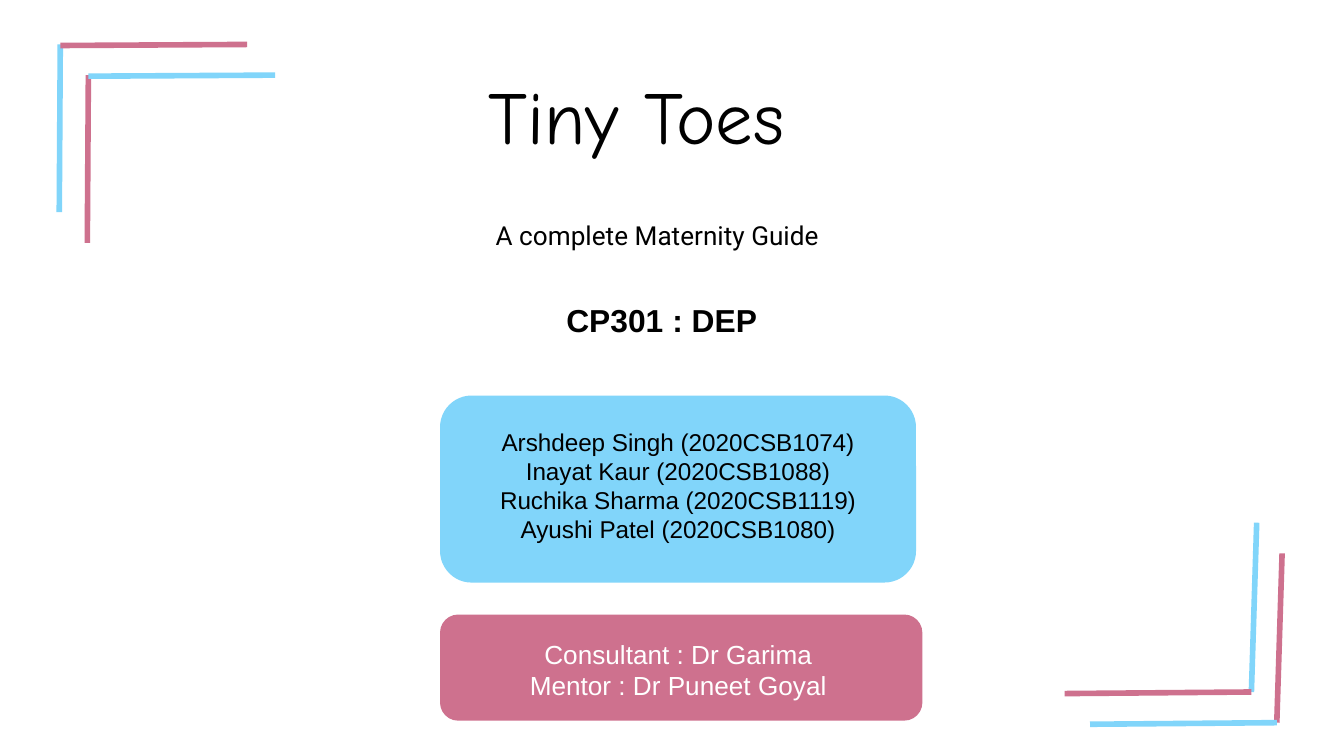
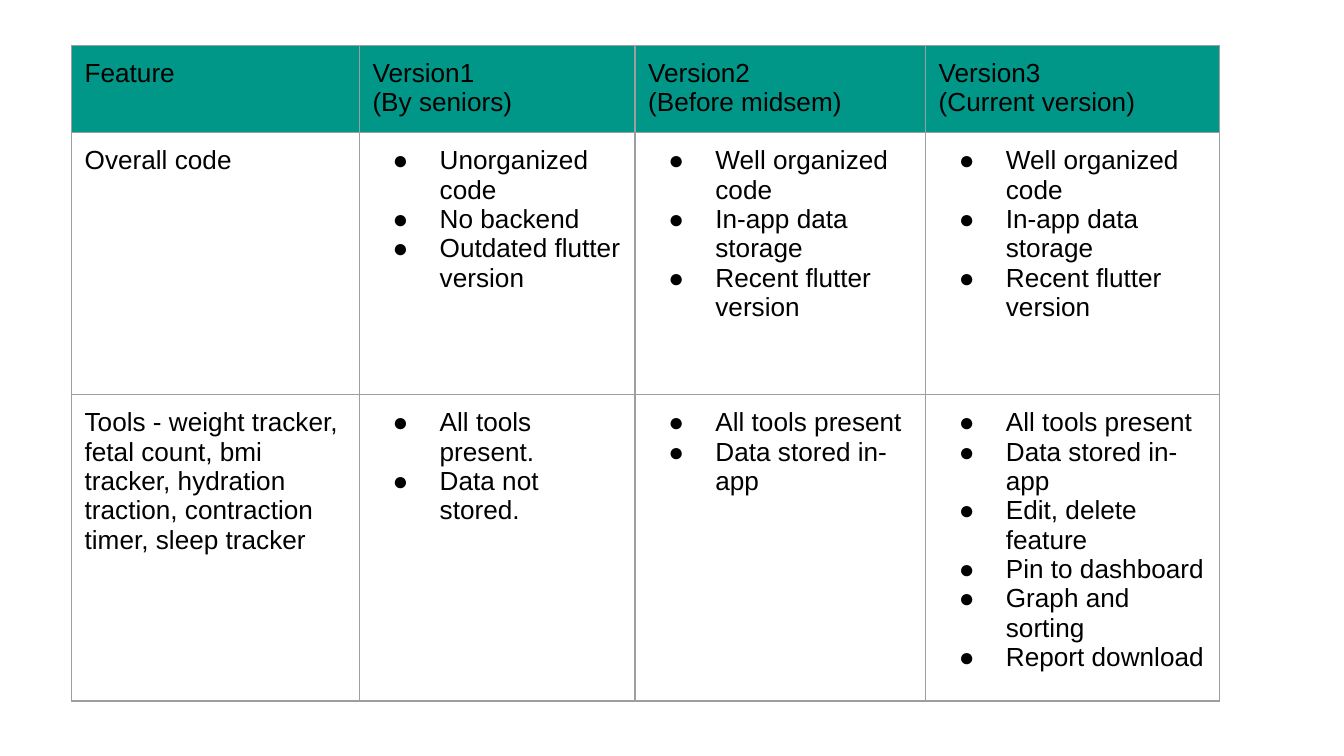
"""Build the Tiny Toes title slide and its version comparison table."""
from dataclasses import dataclass

from lxml.etree import SubElement
from pptx import Presentation
from pptx.dml.color import RGBColor as Color
from pptx.enum.shapes import MSO_CONNECTOR as Connector, MSO_SHAPE as Shape
from pptx.enum.text import MSO_AUTO_SIZE as AutoSize, PP_ALIGN as Align
from pptx.oxml import parse_xml
from pptx.oxml.ns import nsdecls, qn
from pptx.util import Cm, Pt


@dataclass(frozen=True)
class Theme:
    blue: str = "81D5FA"
    pink: str = "CE718E"
    teal: str = "009788"
    grey: str = "9E9E9E"
    black: str = "000000"
    white: str = "FFFFFF"
    body_font: str = "Arial"
    title_font: str = "Comic Neue"
    subtitle_font: str = "Roboto"
    title_size: float = 40
    course_size: float = 17
    body_size: float = 14
    team_size: float = 13
    rule_width: float = 3
    thin_width: float = 0.75
    inset: float = 0.25


THEME = Theme()

CARDS = [
    ((8.33, 7.49, 8.97, 3.51), THEME.blue),
    ((8.33, 11.63, 9.09, 1.98), THEME.pink),
]

TEXTS = [
    ((6.5, 1.07, 11.53, 2.24), ["Tiny Toes "],
     {"name": THEME.title_font, "size": THEME.title_size}),
    ((5.79, 3.89, 13.39, 1.12), ["A complete Maternity Guide "],
     {"name": THEME.subtitle_font}),
    ((8.33, 5.44, 8.51, 1.24), ["CP301 : DEP "],
     {"size": THEME.course_size, "bold": True}),
    ((9.04, 7.82, 7.54, 3.3),
     ["Arshdeep Singh (2020CSB1074)", "Inayat Kaur (2020CSB1088)",
      "Ruchika Sharma (2020CSB1119)", "Ayushi Patel (2020CSB1080)"],
     {"size": THEME.team_size}),
    ((8.94, 11.81, 7.9, 1.7),
     ["Consultant : Dr Garima ", "Mentor : Dr Puneet Goyal "],
     {"color": THEME.white}),
]

BRACKETS = [
    {"vertical": (1.12, 4.01, 1.14, 0.84),
     "horizontal": (1.14, 0.86, 4.67, 0.84), "step": (0.53, 0.58)},
    {"vertical": (23.65, 13.08, 23.75, 9.88),
     "horizontal": (20.12, 13.11, 23.65, 13.08), "step": (0.48, 0.58)},
]

TABLE_ORIGIN = (1.35, 0.86)
COLUMN_WIDTHS = [5.44, 5.21, 5.49, 5.56]
ROW_HEIGHTS = [1.65, 4.95, 5.79]
ORGANIZED = ["Well organized code", "In-app data storage",
             "Recent flutter version"]
ROWS = [
    [["Feature"], ["Version1", "(By seniors)"],
     ["Version2", "(Before midsem)"], ["Version3", "(Current version)"]],
    [["Overall code"],
     ["Unorganized code", "No backend", "Outdated flutter version"],
     ORGANIZED, ORGANIZED],
    [["Tools - weight tracker, fetal count, bmi tracker, hydration traction, "
      "contraction timer, sleep tracker"],
     ["All tools present.", "Data not stored."],
     ["All tools present", "Data stored in- app"],
     ["All tools present", "Data stored in-app", "Edit, delete feature",
      "Pin to dashboard", "Graph and sorting", "Report download"]],
]


def set_all(target, values):
    for name, value in values.items():
        setattr(target, name, value)


def lengths(values):
    return [Cm(value) for value in values]


def set_insets(target):
    set_all(target, {f"margin_{side}": Cm(THEME.inset)
                     for side in ("left", "top", "right", "bottom")})


def write(frame, lines, alignment=Align.LEFT, bulleted=False, **style):
    style = {"name": THEME.body_font, "size": THEME.body_size,
             "color": THEME.black, "bold": False} | style
    color = Color.from_string(style.pop("color"))
    style["size"] = Pt(style["size"])
    for index, line in enumerate(lines):
        paragraph = frame.add_paragraph() if index else frame.paragraphs[0]
        paragraph.alignment = alignment
        run = paragraph.add_run()
        run.text = line
        set_all(run.font, style)
        run.font.color.rgb = color
        if bulleted:
            add_bullet(paragraph)


def add_bullet(paragraph):
    properties = paragraph._p.get_or_add_pPr()
    properties.set("marL", str(Cm(1.27)))
    properties.set("indent", str(Cm(-0.89)))
    bullet_color = SubElement(properties, qn("a:buClr"))
    SubElement(bullet_color, qn("a:srgbClr"), val=THEME.black)
    SubElement(properties, qn("a:buFont"), typeface=THEME.body_font)
    SubElement(properties, qn("a:buChar"), char="●")


def add_card(slide, box, fill):
    shape = slide.shapes.add_shape(Shape.ROUNDED_RECTANGLE, *lengths(box))
    shape.shadow.inherit = False
    shape.fill.solid()
    shape.fill.fore_color.rgb = Color.from_string(fill)
    shape.line.color.rgb = Color.from_string(fill)
    shape.line.width = Pt(THEME.thin_width)


def add_text(slide, box, lines, style):
    frame = slide.shapes.add_textbox(*lengths(box)).text_frame
    set_all(frame, {"word_wrap": True, "auto_size": AutoSize.SHAPE_TO_FIT_TEXT})
    set_insets(frame)
    write(frame, lines, Align.CENTER, **style)


def add_rule(slide, points, color):
    connector = slide.shapes.add_connector(Connector.STRAIGHT, *lengths(points))
    connector.line.color.rgb = Color.from_string(color)
    connector.line.width = Pt(THEME.rule_width)
    SubElement(connector._element.spPr, qn("a:effectLst"))


def add_bracket(slide, vertical, horizontal, step):
    colors = [THEME.blue, THEME.pink]
    for copy in range(2):
        shift = [copy * step[0], copy * step[1]] * 2
        for arm, color in zip((vertical, horizontal), colors):
            add_rule(slide, [a + b for a, b in zip(arm, shift)], color)
        colors.reverse()


def add_borders(cell):
    properties = cell._tc.get_or_add_tcPr()
    for index, side in enumerate("LRTB"):
        properties.insert(index, parse_xml(
            f'<a:ln{side} {nsdecls("a")} w="{Pt(THEME.thin_width)}">'
            f'<a:solidFill><a:srgbClr val="{THEME.grey}"/></a:solidFill>'
            f'</a:ln{side}>'))


def add_version_table(slide):
    size = (sum(COLUMN_WIDTHS), sum(ROW_HEIGHTS))
    table = slide.shapes.add_table(len(ROWS), len(COLUMN_WIDTHS),
                                   *lengths(TABLE_ORIGIN + size)).table
    set_all(table, {"first_row": False, "horz_banding": False})
    for column, width in zip(table.columns, COLUMN_WIDTHS):
        column.width = Cm(width)
    for row, height in zip(table.rows, ROW_HEIGHTS):
        row.height = Cm(height)
    for row_index, row in enumerate(ROWS):
        for column_index, lines in enumerate(row):
            cell = table.cell(row_index, column_index)
            set_insets(cell)
            if row_index == 0:
                cell.fill.solid()
                cell.fill.fore_color.rgb = Color.from_string(THEME.teal)
            else:
                cell.fill.background()
            write(cell.text_frame, lines,
                  bulleted=row_index > 0 and column_index > 0)
            add_borders(cell)


def add_slide(presentation):
    slide = presentation.slides.add_slide(presentation.slide_layouts[6])
    slide.background.fill.solid()
    slide.background.fill.fore_color.rgb = Color.from_string(THEME.white)
    return slide


def main():
    presentation = Presentation()
    set_all(presentation, {"slide_width": Cm(25.4), "slide_height": Cm(14.29)})
    title_slide = add_slide(presentation)
    for box, fill in CARDS:
        add_card(title_slide, box, fill)
    for box, lines, style in TEXTS:
        add_text(title_slide, box, lines, style)
    for bracket in BRACKETS:
        add_bracket(title_slide, **bracket)
    add_version_table(add_slide(presentation))
    presentation.save("out.pptx")


if __name__ == "__main__":
    main()
